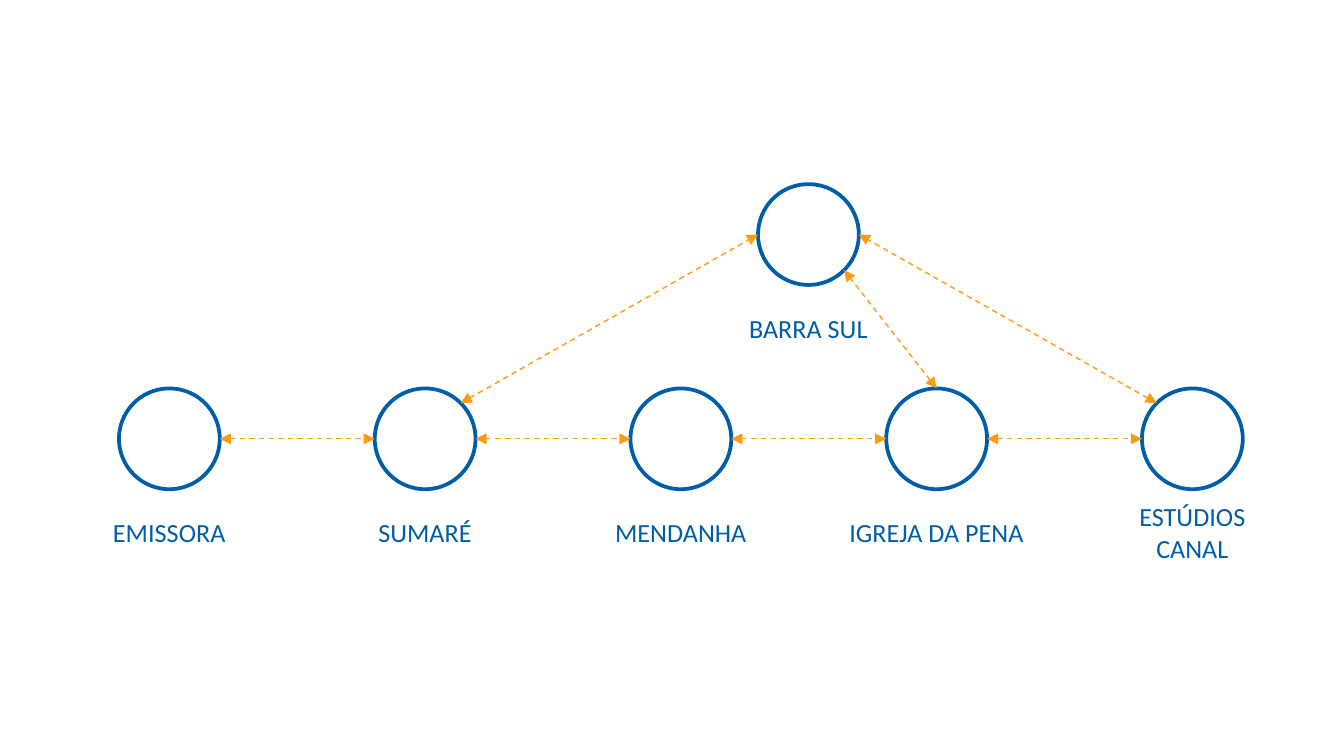
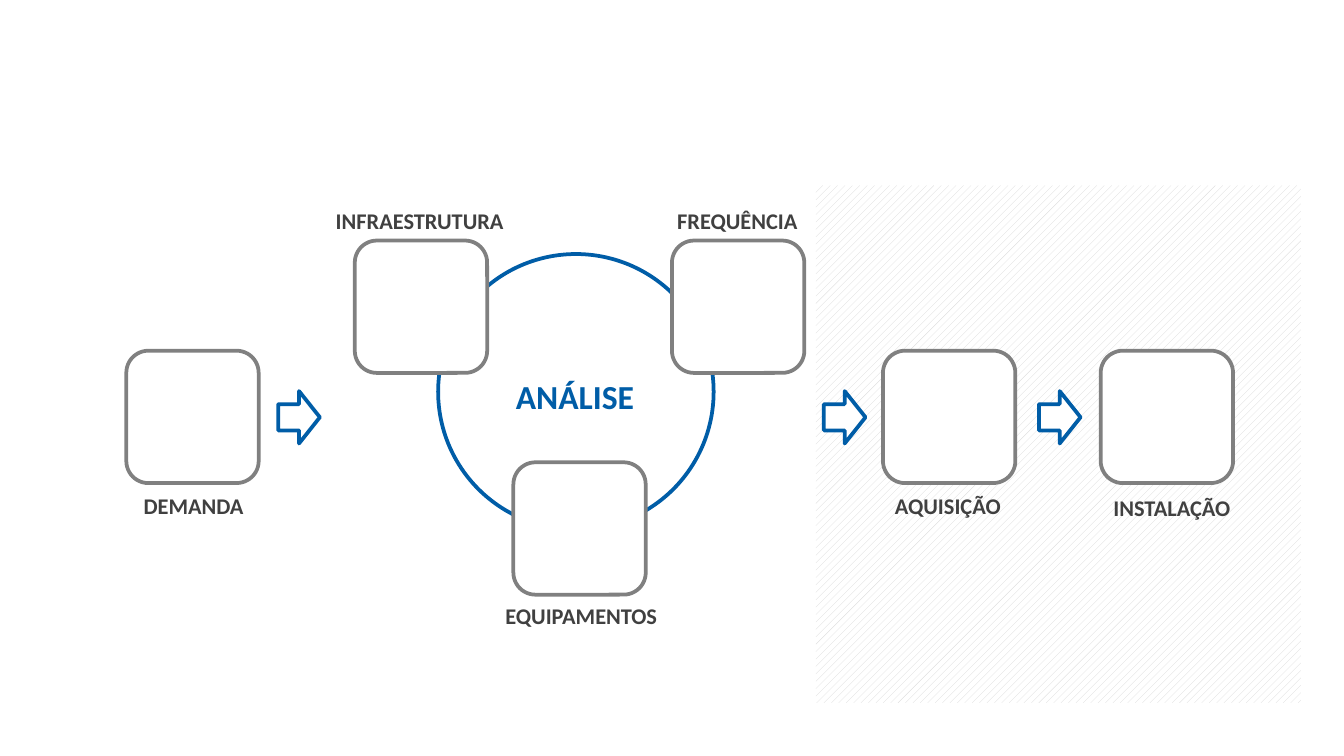
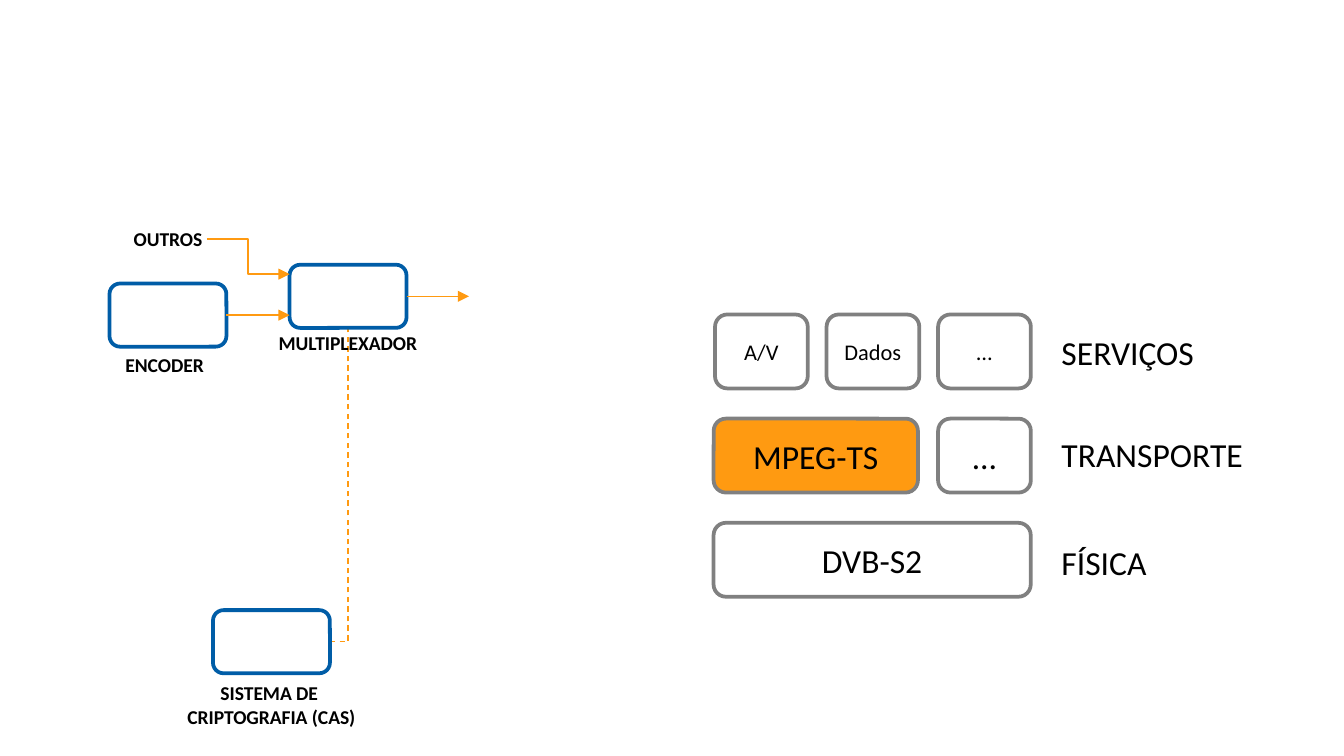
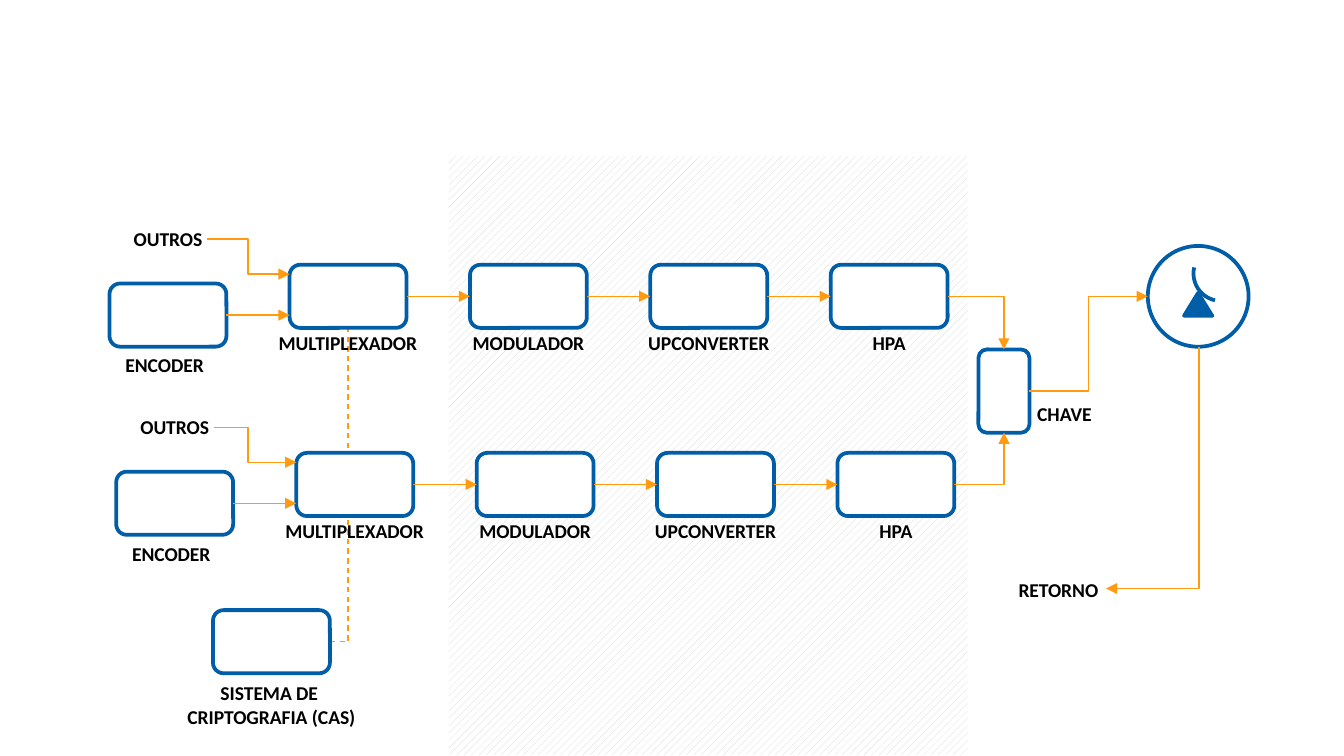
from dataclasses import dataclass
from itertools import pairwise
from math import cos, radians, sin
from typing import NamedTuple

from lxml.etree import SubElement
from pptx import Presentation
from pptx.dml.color import RGBColor
from pptx.enum.dml import MSO_LINE, MSO_PATTERN
from pptx.enum.shapes import MSO_CONNECTOR, MSO_SHAPE
from pptx.enum.text import MSO_ANCHOR, MSO_AUTO_SIZE, PP_ALIGN
from pptx.oxml.ns import qn
from pptx.shapes.autoshape import Shape
from pptx.shapes.connector import Connector
from pptx.slide import Slide
from pptx.util import Emu, Inches, Pt

SLIDE_WIDTH = Inches(10)
SLIDE_HEIGHT = Emu(SLIDE_WIDTH * 9 // 16)
COLUMNS = 100
CELL = SLIDE_WIDTH / COLUMNS  # square grid cell: every length below counts cells

BLUE = RGBColor(0x00, 0x5D, 0xA7)
ORANGE = RGBColor(0xFF, 0x9A, 0x11)
GRAY = RGBColor(0x80, 0x80, 0x80)
DARK_GRAY = RGBColor(0x40, 0x40, 0x40)
LIGHT_GRAY = RGBColor(0xD9, 0xD9, 0xD9)
WHITE = RGBColor(0xFF, 0xFF, 0xFF)
BLACK = RGBColor(0x00, 0x00, 0x00)

FONT = "Calibri"
TOP, LEFT, BOTTOM, RIGHT = range(4)


class Point(NamedTuple):
    x: float
    y: float


class Box(NamedTuple):
    left: float
    top: float
    width: float
    height: float


class Side(NamedTuple):
    shape: Shape
    index: int


class Style(NamedTuple):
    size: float
    color: RGBColor
    bold: bool = False


NODE_TEXT = Style(14, BLUE)
STAGE_TEXT = Style(12, DARK_GRAY, True)
ANALYSIS_TEXT = Style(18, BLUE, True)
DEVICE_TEXT = Style(10.5, BLACK, True)
LAYER_TEXT = Style(18, BLACK)
SERVICE_TEXT = Style(12, BLACK)


def cells(count: float) -> Emu:
    return Emu(round(count * CELL))


def write(shape: Shape, text: str, style: Style, align: PP_ALIGN) -> None:
    text_frame = shape.text_frame
    text_frame.text = text
    for paragraph in text_frame.paragraphs:
        paragraph.alignment = align
        for run in paragraph.runs:
            run.font.name = FONT
            run.font.size = Pt(style.size)
            run.font.bold = style.bold
            run.font.color.rgb = style.color


def draw_shape(slide: Slide, kind: MSO_SHAPE, box: Box, line: RGBColor | None = BLUE,
               fill: RGBColor | None = None) -> Shape:
    shape = slide.shapes.add_shape(kind, *map(cells, box))
    shape.shadow.inherit = False
    if fill is None:
        shape.fill.background()
    else:
        shape.fill.solid()
        shape.fill.fore_color.rgb = fill
    if line is None:
        shape.line.fill.background()
    else:
        shape.line.color.rgb = line
        shape.line.width = Pt(2)
    return shape


def draw_hatched_band(slide: Slide, box: Box) -> None:
    band = draw_shape(slide, MSO_SHAPE.RECTANGLE, box, line=None)
    band.fill.patterned()
    band.fill.pattern = MSO_PATTERN.WIDE_UPWARD_DIAGONAL
    band.fill.fore_color.rgb = LIGHT_GRAY
    band.fill.back_color.rgb = WHITE


def draw_text(slide: Slide, text: str, box: Box, style: Style,
              align: PP_ALIGN = PP_ALIGN.CENTER, wrap: bool = False) -> None:
    label = slide.shapes.add_textbox(*map(cells, box))
    label.text_frame.word_wrap = wrap
    label.text_frame.auto_size = MSO_AUTO_SIZE.SHAPE_TO_FIT_TEXT
    write(label, text, style, align)


def draw_link(slide: Slide, start: Point | Side, end: Point | Side,
              kind: MSO_CONNECTOR = MSO_CONNECTOR.STRAIGHT, dashed: bool = False,
              arrows: tuple[str, ...] = ("tailEnd",)) -> Connector:
    """Draw an orange line; an end given as a Side is joined to its shape."""
    first, last = (end_point if isinstance(end_point, Point) else Point(0, 0)
                   for end_point in (start, end))
    link = slide.shapes.add_connector(kind, *map(cells, (*first, *last)))
    if isinstance(start, Side):
        link.begin_connect(*start)
    if isinstance(end, Side):
        link.end_connect(*end)
    link.line.color.rgb = ORANGE
    link.line.width = Pt(0.75)
    if dashed:
        link.line.dash_style = MSO_LINE.DASH
    properties = link._element.spPr
    for arrow in arrows:
        SubElement(properties.find(qn("a:ln")), qn(f"a:{arrow}"), type="triangle")
    SubElement(properties, qn("a:effectLst"))
    return link


def draw_corner(slide: Slide, start: Point | Side, end: Point | Side,
                dashed: bool = False, arrows: tuple[str, ...] = ("tailEnd",)) -> Connector:
    """Draw a link with one bend, leaving its start horizontally."""
    link = draw_link(slide, start, end, MSO_CONNECTOR.ELBOW, dashed, arrows)
    link._element.spPr.find(qn("a:prstGeom")).set("prst", "bentConnector2")
    return link


def draw_step(slide: Slide, start: Point, end: Point, bend_x: float) -> None:
    """Draw a link with two bends, whose vertical part is at bend_x."""
    link = draw_link(slide, start, end, MSO_CONNECTOR.ELBOW)
    geometry = link._element.spPr.find(qn("a:prstGeom"))
    values = geometry.find(qn("a:avLst"))
    if values is None:
        values = SubElement(geometry, qn("a:avLst"))
    share = (bend_x - start.x) / (end.x - start.x)
    SubElement(values, qn("a:gd"), name="adj1", fmla=f"val {round(share * 100000)}")


# Slide 1: radio link network

NODE_SIZE = 7.5
NODE_PITCH = 19.03


@dataclass(frozen=True)
class Node:
    name: str
    left: float
    top: float = 28.9
    label_height: float = 3.4
    label_drop: float = 9.05

    def rim(self, degrees: float) -> Point:
        """Point on the circle, counted anticlockwise from its right."""
        radius, angle = NODE_SIZE / 2, radians(degrees)
        return Point(self.left + radius * (1 + cos(angle)),
                     self.top + radius * (1 - sin(angle)))

    def draw(self, slide: Slide) -> None:
        draw_shape(slide, MSO_SHAPE.OVAL, Box(self.left, self.top, NODE_SIZE, NODE_SIZE))
        label = Box(self.left - 3.75, self.top + self.label_drop, 15, self.label_height)
        draw_text(slide, self.name, label, NODE_TEXT, wrap=True)


def build_network(slide: Slide) -> None:
    lefts = [8.85 + index * NODE_PITCH for index in range(5)]
    emissora, sumare, mendanha = map(Node, ("EMISSORA", "SUMARÉ", "MENDANHA"), lefts)
    igreja = Node("IGREJA DA PENA", lefts[3], label_height=5.7)
    studios = Node("ESTÚDIOS\nCANAL", lefts[4], label_height=5.7, label_drop=7.85)
    barra = Node("BARRA SUL", 56.4, 13.7)
    row = (emissora, sumare, mendanha, igreja, studios)
    for node in (*row, barra):
        node.draw(slide)
    links = [(here.rim(0), there.rim(180)) for here, there in pairwise(row)]
    links += [(sumare.rim(45), barra.rim(180)),
              (studios.rim(135), barra.rim(0)),
              (igreja.rim(90), barra.rim(-45))]
    for start, end in links:
        draw_link(slide, start, end, dashed=True, arrows=("headEnd", "tailEnd"))


# Slide 2: project process

class Stage(NamedTuple):
    name: str
    corner: Point
    label: Box
    align: PP_ALIGN = PP_ALIGN.LEFT


STAGE_SIZE = 9.85
STAGES = (
    Stage("DEMANDA", Point(9.4, 26.1), Box(9.7, 36.1, 9.6, 3)),
    Stage("INFRAESTRUTURA", Point(26.4, 17.9), Box(24, 14.9, 14.7, 3)),
    Stage("FREQUÊNCIA", Point(50, 17.9), Box(49.4, 14.9, 11.1, 3)),
    Stage("EQUIPAMENTOS", Point(38.2, 34.4), Box(36.5, 44.3, 13.5, 3), PP_ALIGN.CENTER),
    Stage("AQUISIÇÃO", Point(65.7, 26.1), Box(65.6, 36.1, 10, 3)),
    Stage("INSTALAÇÃO", Point(81.9, 26.1), Box(81.8, 36.3, 10.8, 3), PP_ALIGN.CENTER),
)


def build_process(slide: Slide) -> None:
    draw_hatched_band(slide, Box(60.7, 13.8, 36.1, 38.5))
    draw_shape(slide, MSO_SHAPE.OVAL, Box(32.6, 18.9, 20.5, 20.5))
    for stage in STAGES:
        draw_shape(slide, MSO_SHAPE.ROUNDED_RECTANGLE,
                   Box(*stage.corner, STAGE_SIZE, STAGE_SIZE), GRAY, WHITE)
    for left, fill in ((20.7, None), (61.3, WHITE), (77.3, WHITE)):
        draw_shape(slide, MSO_SHAPE.RIGHT_ARROW, Box(left, 29.1, 3.1, 3.9), fill=fill)
    for stage in STAGES:
        draw_text(slide, stage.name, stage.label, STAGE_TEXT, stage.align)
    draw_text(slide, "ANÁLISE", Box(37.4, 27.5, 10.9, 4), ANALYSIS_TEXT, PP_ALIGN.LEFT)


# Slides 3 and 4: transmission chain

DEVICE_WIDTH, DEVICE_HEIGHT = 8.7, 4.7
DEVICE_PITCH = 13.42
MULTIPLEXER = Point(21.55, 19.7)
BEND_X = 18.45
CHAIN_SHIFT = Point(0.5, 14)


def draw_device(slide: Slide, name: str, corner: Point, label_width: float,
                gap: float = -0.25, label_height: float = 2.8,
                align: PP_ALIGN = PP_ALIGN.CENTER) -> Shape:
    """Draw a device box with its name below it."""
    device = draw_shape(slide, MSO_SHAPE.ROUNDED_RECTANGLE,
                        Box(*corner, DEVICE_WIDTH, DEVICE_HEIGHT), fill=WHITE)
    label = Box(corner.x + (DEVICE_WIDTH - label_width) / 2,
                corner.y + DEVICE_HEIGHT + gap, label_width, label_height)
    draw_text(slide, name, label, DEVICE_TEXT, align)
    return device


def draw_inputs(slide: Slide, shift: Point) -> Shape:
    """Draw the encoder, the other inputs and the multiplexer; return the last."""
    encoder = draw_device(slide, "ENCODER", Point(8.15 + shift.x, 21.1 + shift.y),
                          8.3, 0, 2.9, PP_ALIGN.LEFT)
    multiplexer = draw_device(slide, "MULTIPLEXADOR",
                              Point(MULTIPLEXER.x + shift.x, MULTIPLEXER.y + shift.y), 12.6)
    entry_x = MULTIPLEXER.x + shift.x
    draw_link(slide, Side(encoder, RIGHT), Point(entry_x, 23.45 + shift.y))
    draw_step(slide, Point(15.4 + shift.x, 17.8 + shift.y),
              Point(entry_x, 20.4 + shift.y), BEND_X)
    draw_text(slide, "OUTROS", Box(8.75 + shift.x, 16.4 + shift.y, 7.5, 2.9), DEVICE_TEXT)
    return multiplexer


def draw_head_end(slide: Slide, shifts: tuple[Point, ...]) -> list[Shape]:
    """Draw the inputs at each shift and the encryption system behind them."""
    link = draw_corner(slide, Point(24.6, 47.8), Point(25.9, 24.4), dashed=True, arrows=())
    multiplexers = [draw_inputs(slide, shift) for shift in shifts]
    encryption = draw_device(slide, "SISTEMA DE \nCRIPTOGRAFIA (CAS)",
                             Point(15.85, 45.4), 14.8, 0.1, 4.5)
    link.begin_connect(encryption, RIGHT)
    link.end_connect(multiplexers[0], BOTTOM)
    return multiplexers


class Layer(NamedTuple):
    text: str
    box: Box
    style: Style = LAYER_TEXT
    fill: RGBColor = WHITE


LAYER_HEIGHT = 5.5
SERVICE_ROW, TRANSPORT_ROW, PHYSICAL_ROW = 23.4, 31.15, 38.9
LAYERS = (
    Layer("DVB-S2", Box(53.1, PHYSICAL_ROW, 23.6, LAYER_HEIGHT)),
    Layer("MPEG-TS", Box(53.1, TRANSPORT_ROW, 15.2, LAYER_HEIGHT), fill=ORANGE),
    *(Layer(text, Box(53.2 + 8.3 * index, SERVICE_ROW, 6.9, LAYER_HEIGHT), SERVICE_TEXT)
      for index, text in enumerate(("A/V", "Dados", "…"))),
    Layer("…", Box(69.8, TRANSPORT_ROW, 6.9, LAYER_HEIGHT)),
)
LAYER_NAMES = (
    ("FÍSICA", Box(78, 39.8, 8.4, 4)),
    ("TRANSPORTE", Box(78, 31.8, 15.6, 4)),
    ("SERVIÇOS", Box(78, 24.2, 12, 4)),
)


def build_layers(slide: Slide) -> None:
    multiplexer, = draw_head_end(slide, (Point(0, 0),))
    draw_link(slide, Side(multiplexer, RIGHT), Point(34.9, 22.05))
    for layer in LAYERS:
        shape = draw_shape(slide, MSO_SHAPE.ROUNDED_RECTANGLE, layer.box, GRAY, layer.fill)
        shape.text_frame.vertical_anchor = MSO_ANCHOR.MIDDLE
        write(shape, layer.text, layer.style, PP_ALIGN.CENTER)
    for name, box in LAYER_NAMES:
        draw_text(slide, name, box, LAYER_TEXT, PP_ALIGN.LEFT)


def draw_antenna(slide: Slide) -> None:
    draw_shape(slide, MSO_SHAPE.OVAL, Box(85.4, 18.3, 7.5, 7.5))
    draw_shape(slide, MSO_SHAPE.ISOSCELES_TRIANGLE, Box(88.1, 21.8, 2.1, 1.7), fill=BLUE)
    dish = draw_shape(slide, MSO_SHAPE.ARC, Box(88.8, 18.3, 4.1, 4.1))
    dish.rotation = 192.7


def build_transmission(slide: Slide) -> None:
    draw_hatched_band(slide, Box(33.4, 11.6, 38.6, 44.6))
    shifts = (Point(0, 0), CHAIN_SHIFT)
    stages = (("MODULADOR", 10.9), ("UPCONVERTER", 11.2), ("HPA", 4.6))
    amplifiers = []
    for shift, device in zip(shifts, draw_head_end(slide, shifts)):
        for position, (name, label_width) in enumerate(stages, start=1):
            corner = Point(MULTIPLEXER.x + shift.x + position * DEVICE_PITCH,
                           MULTIPLEXER.y + shift.y)
            following = draw_device(slide, name, corner, label_width)
            draw_link(slide, Side(device, RIGHT), Side(following, LEFT))
            device = following
        amplifiers.append(device)

    switch = draw_shape(slide, MSO_SHAPE.ROUNDED_RECTANGLE, Box(72.8, 26, 3.8, 6.2), fill=WHITE)
    for amplifier, side in zip(amplifiers, (TOP, BOTTOM)):
        draw_corner(slide, Side(amplifier, RIGHT), Side(switch, side))
    draw_text(slide, "CHAVE", Box(76.1, 29.4, 6.2, 2.8), DEVICE_TEXT)

    draw_antenna(slide)
    draw_step(slide, Point(76.6, 29.1), Point(85.4, 22.05), 81)
    draw_corner(slide, Point(82.3, 43.8), Point(89.2, 25.8), arrows=("headEnd",))
    draw_text(slide, "RETORNO", Box(74.7, 42.5, 8.1, 2.8), DEVICE_TEXT)


def main() -> None:
    presentation = Presentation()
    presentation.slide_width, presentation.slide_height = SLIDE_WIDTH, SLIDE_HEIGHT
    blank_layout = presentation.slide_layouts[6]
    for build in (build_network, build_process, build_layers, build_transmission):
        build(presentation.slides.add_slide(blank_layout))
    presentation.save("out.pptx")


if __name__ == "__main__":
    main()
